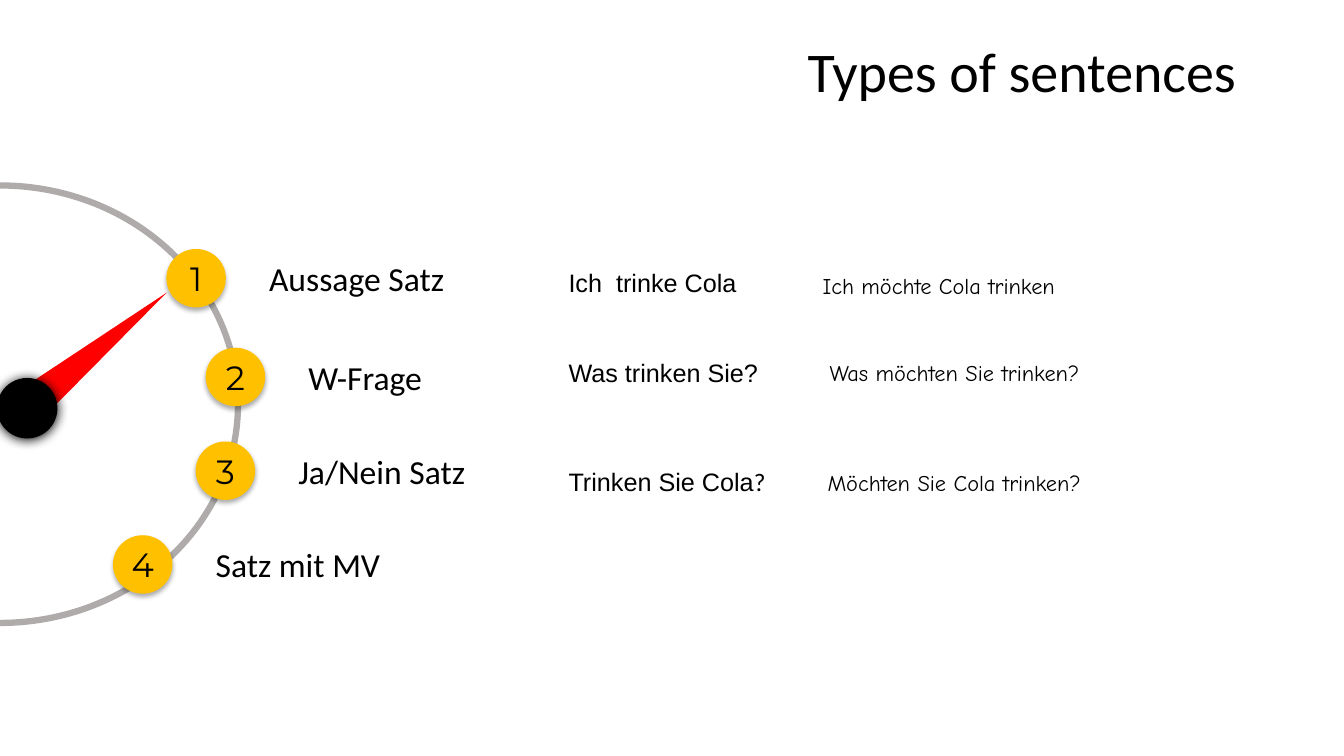
from dataclasses import dataclass
from typing import NamedTuple

from lxml import etree
from pptx import Presentation
from pptx.dml.color import RGBColor
from pptx.enum.shapes import MSO_SHAPE
from pptx.enum.text import MSO_ANCHOR, MSO_AUTO_SIZE, PP_ALIGN
from pptx.oxml.ns import qn
from pptx.shapes.autoshape import Shape
from pptx.slide import Slide
from pptx.util import Inches, Pt

ARC, ELLIPSE, TRIANGLE = MSO_SHAPE.ARC, MSO_SHAPE.OVAL, MSO_SHAPE.ISOSCELES_TRIANGLE
MIDDLE = MSO_ANCHOR.MIDDLE
CENTER, RIGHT = PP_ALIGN.CENTER, PP_ALIGN.RIGHT
GROW = MSO_AUTO_SIZE.SHAPE_TO_FIT_TEXT
TITLE_ONLY = 5


@dataclass(frozen=True)
class Theme:
    ink: RGBColor = RGBColor(0x00, 0x00, 0x00)
    needle: RGBColor = RGBColor(0xFF, 0x00, 0x00)
    marker: RGBColor = RGBColor(0xFF, 0xC0, 0x00)
    dial: RGBColor = RGBColor(0xAF, 0xAB, 0xAB)
    heading_font: str = "Calibri"
    number_font: str = "Montserrat"
    example_font: str = "Arial"
    modal_font: str = "Comic Neue"
    title_size: int = 40
    label_size: int = 24
    example_size: int = 18
    modal_size: int = 16


class Area(NamedTuple):
    left: float
    top: float
    width: float
    height: float


class Shadow(NamedTuple):
    opacity: int
    blur: float
    distance: float


class SentenceType(NamedTuple):
    name: str
    left: float
    top: float


class Example(NamedTuple):
    text: str
    area: Area
    font: str
    size: int
    ending: str = ""


THEME = Theme()
HUB_SHADOW = Shadow(100, 8.5, 1)
MARKER_SHADOW = Shadow(32, 3.5, 2.2)

SENTENCE_TYPES = [
    SentenceType("Aussage Satz", 1.65, 2.47),
    SentenceType("W-Frage", 2.04, 3.45),
    SentenceType("Ja/Nein Satz", 1.94, 4.38),
    SentenceType("Satz mit MV", 1.12, 5.31),
]

PLAIN = (THEME.example_font, THEME.example_size)
MODAL = (THEME.modal_font, THEME.modal_size)
EXAMPLES = [
    Example("Ich  trinke Cola", Area(5.54, 2.6, 2.32, 0.4), *PLAIN),
    Example("Was trinken Sie?", Area(5.54, 3.5, 2.32, 0.4), *PLAIN),
    Example("Trinken Sie Cola", Area(5.54, 4.58, 2.32, 0.4), *PLAIN, ending="?"),
    Example("Ich möchte Cola trinken", Area(8.06, 2.65, 2.88, 0.37), *MODAL),
    Example("Was möchten Sie trinken?", Area(8.13, 3.51, 3, 0.37), *MODAL),
    Example("Möchten Sie Cola trinken?", Area(8.11, 4.61, 3.24, 0.37), *MODAL),
]


def inches(area: Area) -> list[Inches]:
    return [Inches(length) for length in area]


def write(shape: Shape, text: str, font: str, size: int) -> None:
    para = shape.text_frame.paragraphs[0]
    para.text = text
    para.font.name = font
    para.font.size = Pt(size)
    para.font.color.rgb = THEME.ink


def add_filled(page: Slide, kind: MSO_SHAPE, area: Area, color: RGBColor) -> Shape:
    shape = page.shapes.add_shape(kind, *inches(area))
    shape.shadow.inherit = False
    shape.fill.solid()
    shape.fill.fore_color.rgb = color
    shape.line.fill.background()
    return shape


def cast_shadow(shape: Shape, shadow: Shadow) -> None:
    effects = shape.element.spPr.find(qn("a:effectLst"))
    outer = etree.SubElement(
        effects, qn("a:outerShdw"), blurRad=str(Pt(shadow.blur)),
        dist=str(Pt(shadow.distance)), dir="5400000", rotWithShape="0",
    )
    color = etree.SubElement(outer, qn("a:srgbClr"), val=str(THEME.ink))
    etree.SubElement(color, qn("a:alpha"), val=str(shadow.opacity * 1000))


def add_text(page: Slide, area: Area, text: str, font: str, size: int) -> Shape:
    box = page.shapes.add_textbox(*inches(area))
    box.text_frame.word_wrap = True
    box.text_frame.auto_size = GROW
    write(box, text, font, size)
    return box


def add_title(page: Slide) -> None:
    title = page.shapes.title
    title.left, title.top, title.width, title.height = inches(Area(2.36, 0.25, 10, 0.98))
    title.text_frame.vertical_anchor = MIDDLE
    write(title, "Types of sentences", THEME.heading_font, THEME.title_size)
    para = title.text_frame.paragraphs[0]
    para.alignment = RIGHT
    para.line_spacing = 0.9


def add_dial(page: Slide) -> None:
    needle = add_filled(page, TRIANGLE, Area(0.77, 2.57, 0.37, 1.79), THEME.needle)
    needle.adjustments[0] = 0.55
    needle.rotation = 50
    hub = add_filled(page, ELLIPSE, Area(-0.03, 3.75, 0.6, 0.6), THEME.ink)
    cast_shadow(hub, HUB_SHADOW)
    arc = page.shapes.add_shape(ARC, *inches(Area(-2.36, 1.84, 4.72, 4.34)))
    arc.shadow.inherit = False
    arc.adjustments[0] = 162
    arc.adjustments[1] = 54.13
    arc.fill.background()
    arc.line.color.rgb = THEME.dial
    arc.line.width = Pt(4.5)


def add_sentence_type(page: Slide, number: int, item: SentenceType) -> None:
    marker = add_filled(page, ELLIPSE, Area(item.left, item.top, 0.59, 0.58), THEME.marker)
    cast_shadow(marker, MARKER_SHADOW)
    marker.text_frame.vertical_anchor = MIDDLE
    write(marker, str(number), THEME.number_font, THEME.label_size)
    marker.text_frame.paragraphs[0].alignment = CENTER
    label_area = Area(item.left + 0.92, item.top + 0.04, 2.58, 0.5)
    add_text(page, label_area, item.name, THEME.heading_font, THEME.label_size)


def add_example(page: Slide, example: Example) -> None:
    box = add_text(page, example.area, example.text, example.font, example.size)
    if example.ending:
        span = box.text_frame.paragraphs[0].add_run()
        span.text = example.ending
        span.font.name = THEME.heading_font


def main() -> None:
    deck = Presentation()
    deck.slide_width, deck.slide_height = Inches(13.33), Inches(7.5)
    page = deck.slides.add_slide(deck.slide_layouts[TITLE_ONLY])
    add_title(page)
    add_dial(page)
    for number, item in enumerate(SENTENCE_TYPES, start=1):
        add_sentence_type(page, number, item)
    for example in EXAMPLES:
        add_example(page, example)
    deck.save("out.pptx")


if __name__ == "__main__":
    main()
